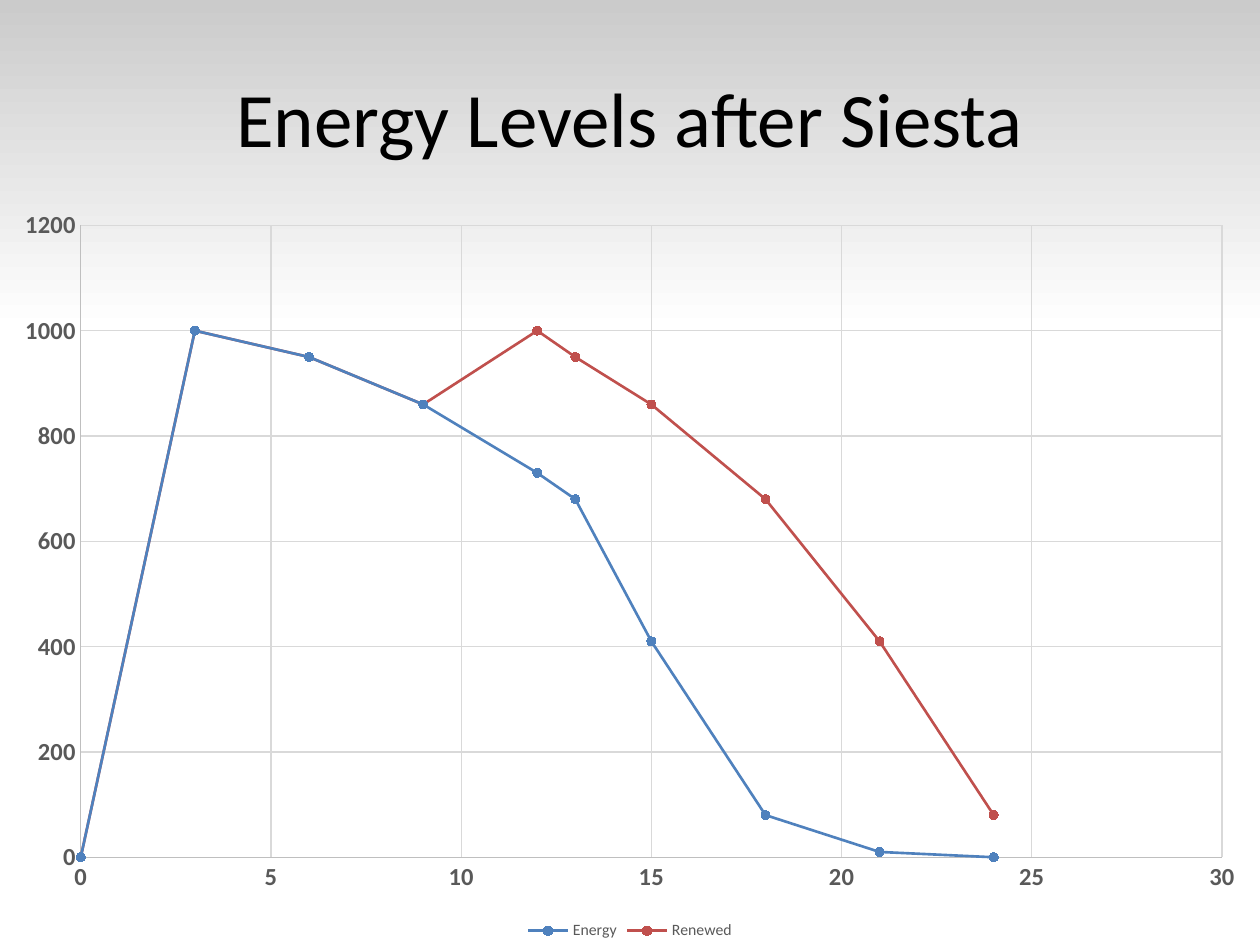
from pptx import Presentation
from pptx.chart.data import XyChartData
from pptx.dml.color import RGBColor
from pptx.enum.chart import XL_CHART_TYPE, XL_LEGEND_POSITION, XL_MARKER_STYLE, XL_TICK_MARK
from pptx.enum.text import MSO_ANCHOR, PP_ALIGN
from pptx.util import Pt

FONT = "Calibri"
HOURS = [0, 3, 6, 9, 12, 13, 15, 18, 21, 24]
LEVELS = {
    "Energy": ("4F81BD", [0, 1000, 950, 860, 730, 680, 410, 80, 10, 0]),
    "Renewed": ("C0504D", [0, 1000, 950, 860, 1000, 950, 860, 680, 410, 80]),
}


def color(value):
    return RGBColor.from_string(value)


def style_font(font, size, fill, bold=False):
    font.name = FONT
    font.size = Pt(size)
    font.bold = bold
    font.color.rgb = color(fill)


def style_line(line, fill, width):
    line.color.rgb = color(fill)
    line.width = Pt(width)


def fill_background(page, stops):
    fill = page.background.fill
    fill.gradient()
    fill.gradient_angle = 270
    for stop, (position, value) in zip(fill.gradient_stops, stops):
        stop.color.rgb = color(value)
        stop.position = position


def add_text(page, text, left, top, width, height, size, fill):
    box = page.shapes.add_textbox(Pt(left), Pt(top), Pt(width), Pt(height))
    frame = box.text_frame
    frame.word_wrap = True
    frame.vertical_anchor = MSO_ANCHOR.MIDDLE
    para = frame.paragraphs[0]
    para.alignment = PP_ALIGN.CENTER
    span = para.add_run()
    span.text = text
    style_font(span.font, size, fill)


def style_axis(axis, maximum, step):
    axis.minimum_scale = 0
    axis.maximum_scale = maximum
    axis.major_unit = step
    axis.major_tick_mark = XL_TICK_MARK.NONE
    axis.minor_tick_mark = XL_TICK_MARK.NONE
    axis.has_major_gridlines = True
    style_line(axis.major_gridlines.format.line, "D9D9D9", 0.75)
    style_line(axis.format.line, "BFBFBF", 0.75)
    style_font(axis.tick_labels.font, 14, "595959", bold=True)


def style_series(series, fill):
    series.smooth = False
    style_line(series.format.line, fill, 1.5)
    marker = series.marker
    marker.style = XL_MARKER_STYLE.CIRCLE
    marker.size = 5
    marker.format.fill.solid()
    marker.format.fill.fore_color.rgb = color(fill)
    style_line(marker.format.line, fill, 0.75)


def add_energy_chart(page, left, top, width, height):
    data = XyChartData()
    for name, (_, values) in LEVELS.items():
        series = data.add_series(name)
        for hour, value in zip(HOURS, values):
            series.add_data_point(hour, value)
    chart = page.shapes.add_chart(
        XL_CHART_TYPE.XY_SCATTER_LINES, Pt(left), Pt(top), Pt(width), Pt(height), data
    ).chart
    style_font(chart.font, 10, "000000")
    chart.has_title = False
    chart.has_legend = True
    chart.legend.position = XL_LEGEND_POSITION.BOTTOM
    chart.legend.include_in_layout = False
    style_font(chart.legend.font, 9, "595959")
    chart.plots[0].vary_by_categories = False
    style_axis(chart.category_axis, 30, 5)
    style_axis(chart.value_axis, 1200, 200)
    for series in chart.plots[0].series:
        style_series(series, LEVELS[series.name][0])


def main():
    deck = Presentation()
    deck.slide_width, deck.slide_height = Pt(720), Pt(540)
    page = deck.slides.add_slide(deck.slide_layouts[6])
    fill_background(page, [(0, "CBCBCB"), (0.35, "FFFFFF")])
    add_text(page, "Energy Levels after Siesta", 36, 21.6, 648, 90, size=44, fill="000000")
    add_energy_chart(page, 0, 111.6, 720, 428.4)
    deck.save("out.pptx")


if __name__ == "__main__":
    main()
